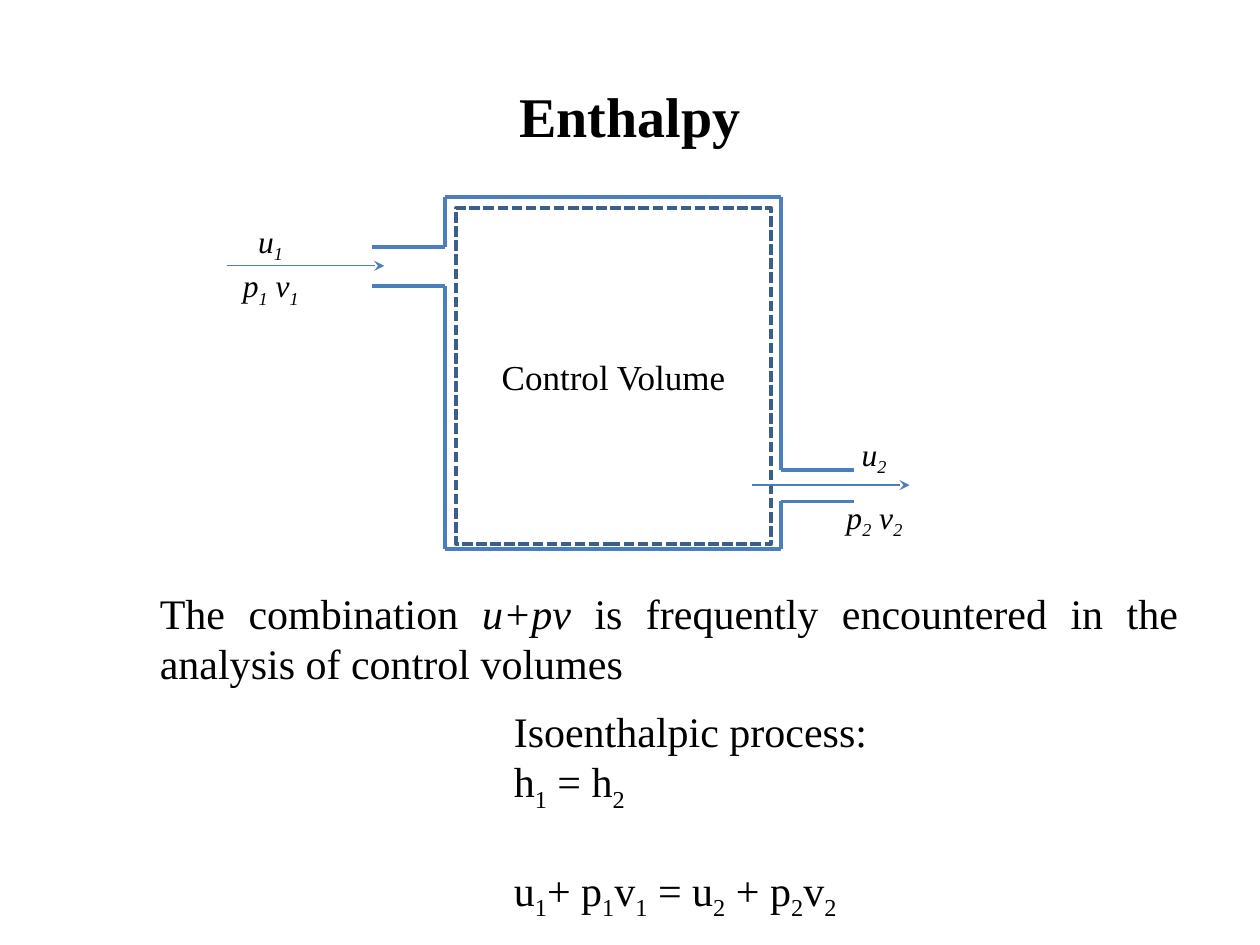
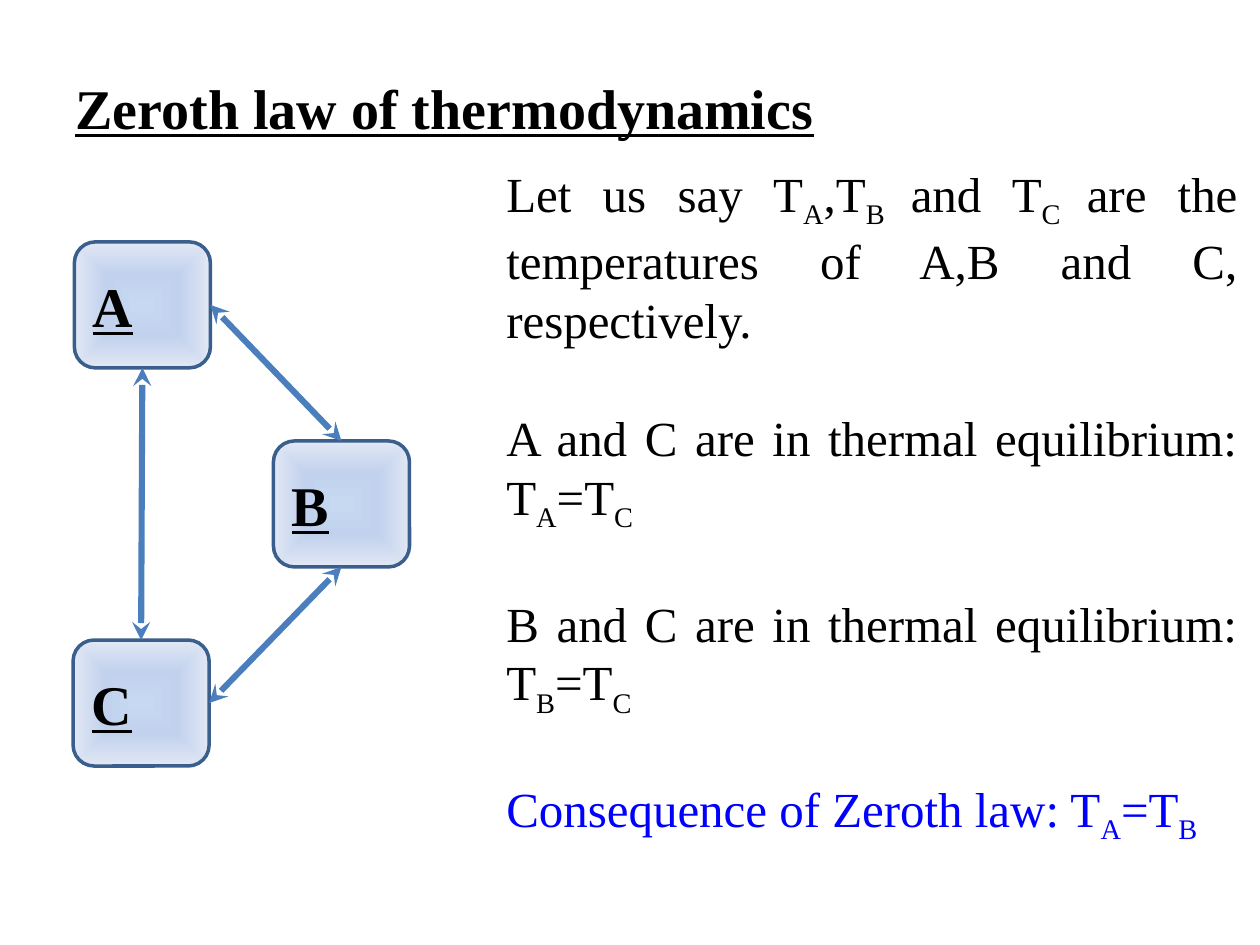
from pptx import Presentation, util as u
from pptx.dml.color import RGBColor
from pptx.enum import dml, shapes, text
from pptx.oxml import parse_xml
from pptx.oxml.ns import nsdecls, qn


class Theme:
    font = "Times New Roman"
    ink = RGBColor.from_string("000000")
    blue = RGBColor.from_string("0000FF")
    line = RGBColor.from_string("4B7EBC")
    edge = RGBColor.from_string("3A5F8C")
    glow = ((0, "C6D9F1"), (50, "C2D1ED"), (100, "E1E8F5"))
    title, large, body, label, small = 32, 28, 24, 20, 18


LEFT, MID, JUST = text.PP_ALIGN.LEFT, text.PP_ALIGN.CENTER, text.PP_ALIGN.JUSTIFY
SUB = "baseline", "-25000"
ITAL = "i", "1"


def write(shape, lines, size, align=LEFT, mark=SUB, gap=0, wrap=True):
    """Fill a shape with one paragraph per line; pieces between bars get the mark."""
    frame = shape.text_frame
    frame.word_wrap = wrap
    for n, line in enumerate(lines):
        para = frame.add_paragraph() if n else frame.paragraphs[0]
        para.alignment = align
        para.font.name, para.font.size = Theme.font, u.Pt(size)
        para.font.color.rgb = Theme.ink
        if n:
            para.space_before = u.Pt(gap)
        for k, piece in enumerate(line.split("|")):
            if piece:
                run = para.add_run()
                run.text = piece
                if k % 2:
                    run.font._element.set(*mark)
    return frame.paragraphs


def link(slide, ends, width, tips=()):
    """Draw a straight line between two points, with stealth tips where named."""
    item = slide.shapes.add_connector(
        shapes.MSO_CONNECTOR.STRAIGHT, *[u.Inches(v) for v in ends])
    item.line.color.rgb, item.line.width = Theme.line, u.Pt(width)
    for tip in tips:
        item.line._get_or_add_ln().append(
            parse_xml(f'<a:{tip} {nsdecls("a")} type="stealth"/>'))
    item._element.spPr.append(parse_xml(f'<a:effectLst {nsdecls("a")}/>'))


deck = Presentation()
deck.slide_width, deck.slide_height = u.Inches(10), u.Inches(7.5)

# Both slides and their titles
pages = []
for name, top, align in (("Enthalpy", 0.58, MID),
                         ("Zeroth law of thermodynamics", 0.51, JUST)):
    page = deck.slides.add_slide(deck.slide_layouts[6])
    box = page.shapes.add_textbox(
        u.Inches(0.5), u.Inches(top), u.Inches(9), u.Inches(0.97))
    box.text_frame.margin_top = u.Inches(0.07)
    head = write(box, [name], Theme.title, align)[0]
    head.font.bold = True
    head.font.underline = align == JUST
    pages.append(page)
flow, law = pages

# Slide 1: vessel walls, with an inlet on the left and an outlet on the right
west, east, north, south = 3.53, 6.2, 1.56, 4.36
inlet, outlet, pipe = (1.96, 2.27), (3.73, 3.98), 0.58
for y in (north, south):
    link(flow, (west, y, east, y), 2.25)
for x, (high, low), far in ((west, inlet, west - pipe), (east, outlet, east + pipe)):
    link(flow, (x, north, x, high), 2.25)
    link(flow, (x, low, x, south), 2.25)
    for y in (high, low):
        link(flow, (x, y, far, y), 2.25)

core = flow.shapes.add_shape(shapes.MSO_SHAPE.RECTANGLE, u.Inches(3.62),
                             u.Inches(1.65), u.Inches(2.5), u.Inches(2.67))
core.shadow.inherit = False
core.fill.background()
core.line.color.rgb, core.line.width = Theme.edge, u.Pt(2)
core.line.dash_style = dml.MSO_LINE.SQUARE_DOT
core.line._get_or_add_ln().find(qn("a:prstDash")).set("val", "sysDash")
write(core, ["Control Volume"], Theme.label, MID)

# Each stream has an arrow with its energy above and its flow work below
for n, x, y, high, low in ((1, 1.8, 2.11, 1.71, 2.06), (2, 5.97, 3.85, 3.4, 3.9)):
    link(flow, (x, y, x + 1.25, y), 0.75, ["tailEnd"])
    left = 1.83 if n == 1 else 6.62
    for line, x, y, wide, wrap in ((f"u|{n}|", left + 0.12, high, 0.41, False),
                                   (f"p|{n}| v|{n}|", left, low, 0.83, True)):
        box = flow.shapes.add_textbox(
            u.Inches(x), u.Inches(y), u.Inches(wide), u.Inches(0.4))
        write(box, [line], Theme.small, wrap=wrap)[0].font.italic = True

box = flow.shapes.add_textbox(
    u.Inches(1.17), u.Inches(4.61), u.Inches(8.28), u.Inches(0.91))
write(box, ["The combination |u+pv| is frequently encountered in the "
            "analysis of control volumes"], Theme.body, JUST, ITAL)
box = flow.shapes.add_textbox(
    u.Inches(3.98), u.Inches(5.55), u.Inches(3.03), u.Inches(1.99))
lines = write(box, ["Isoenthalpic process:", "h|1| = h|2|",
                    "u|1|+ p|1|v|1| = u|2| + p|2|v|2|"], Theme.body)
lines[-1].space_before = u.Pt(29)

# Slide 2: three bodies in mutual equilibrium
wide, tall = 1.08, 1
stops = "".join(f'<a:gs pos="{at * 1000}"><a:srgbClr val="{tint}"/></a:gs>'
                for at, tint in Theme.glow)
glow = (f'<a:gradFill {nsdecls("a")}><a:gsLst>{stops}</a:gsLst><a:path path="shape">'
        '<a:fillToRect l="50000" t="50000" r="50000" b="50000"/></a:path></a:gradFill>')
spots = {"A": (0.59, 1.92), "B": (2.17, 3.5), "C": (0.58, 5.08)}
for name, (x, y) in spots.items():
    body = law.shapes.add_shape(shapes.MSO_SHAPE.ROUNDED_RECTANGLE, u.Inches(x),
                                u.Inches(y), u.Inches(wide), u.Inches(tall))
    body.shadow.inherit = False
    body.fill.gradient()
    plain = body._element.spPr.find(qn("a:gradFill"))
    plain.getparent().replace(plain, parse_xml(glow))
    body.line.color.rgb, body.line.width = Theme.edge, u.Pt(2)
    label = write(body, [name], Theme.title, JUST)[0]
    label.font.bold = label.font.underline = True

(ax, ay), (bx, by), (cx, cy) = spots.values()
for ends in ((ax + wide, ay + tall / 2, bx + wide / 2, by),
             (cx + wide, cy + tall / 2, bx + wide / 2, by + tall),
             (cx + wide / 2, cy, ax + wide / 2, ay + tall)):
    link(law, ends, 3.5, ["headEnd", "tailEnd"])

box = law.shapes.add_textbox(
    u.Inches(3.92), u.Inches(1.25), u.Inches(6), u.Inches(5.28))
lines = write(box, [
    "Let us say T|A|,T|B |and T|C |are the temperatures of A,B and C, respectively.",
    "A and C are in thermal equilibrium: T|A|=T|C|",
    "B and C are in thermal equilibrium: T|B|=T|C|",
    "Consequence of Zeroth law: T|A|=T|B|"], Theme.large, JUST, gap=34)
lines[-1].font.color.rgb = Theme.blue

deck.save("out.pptx")
